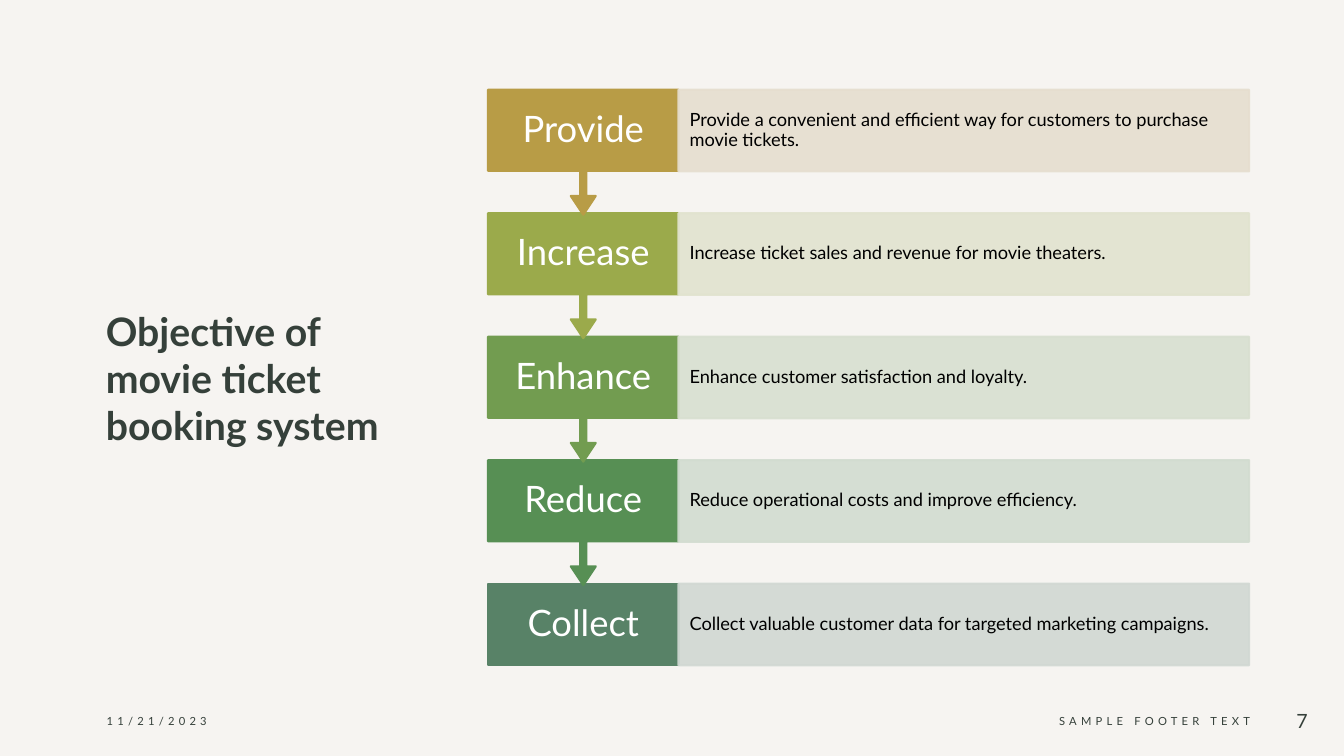
from pptx import Presentation
from pptx.dml.color import RGBColor
from pptx.enum.shapes import MSO_SHAPE as SHAPE
from pptx.enum.text import MSO_ANCHOR as ANCHOR, MSO_AUTO_SIZE as AUTO, PP_ALIGN as ALIGN
from pptx.oxml.ns import qn
from pptx.util import Inches, Pt
from lxml import etree

# word, description, box colour, bar colour
OBJECTIVES = [
    ("Provide", "Provide a convenient and efficient way for customers to purchase movie tickets.",
     "B89C46", "E6DECF"),
    ("Increase", "Increase ticket sales and revenue for movie theaters.", "9BAA4B", "E1E3CF"),
    ("Enhance", "Enhance customer satisfaction and loyalty.", "729C50", "D8DFD0"),
    ("Reduce", "Reduce operational costs and improve efficiency.", "578F54", "D2DCD0"),
    ("Collect", "Collect valuable customer data for targeted marketing campaigns.",
     "588267", "D1D8D3"),
]
LEFT, TOP = 4.84, 0.89
BOX_W, BAR_W, ROW_H = 1.89, 5.66, 0.81
PITCH, CALLOUT_H = 1.225, 1.24


def rgb(value):
    return RGBColor.from_string(value)


def set_alpha(fill_parent, percent):
    """Make the solid fill found below an element partly transparent."""
    color = fill_parent.find(qn("a:solidFill"))[0]
    etree.SubElement(color, qn("a:alpha")).set("val", str(percent * 1000))


def write(sp, text, size=13, color="000000", bold=False, align=ALIGN.LEFT,
          inset=(0.1, 0.05), line=1.0, after=0, tracking=0):
    """Fill a shape with one formatted, vertically centred paragraph."""
    tf = sp.text_frame
    tf.word_wrap = True
    tf.auto_size = AUTO.NONE
    tf.vertical_anchor = ANCHOR.MIDDLE
    tf.margin_left = tf.margin_right = Inches(inset[0])
    tf.margin_top = tf.margin_bottom = Inches(inset[1])
    p = tf.paragraphs[0]
    p.alignment = align
    p.line_spacing = line
    p.space_before, p.space_after = Pt(0), Pt(after)
    r = p.add_run()
    r.text = text
    r.font.name = Deck.FONT
    r.font.size = Pt(size)
    r.font.bold = bold
    r.font.color.rgb = rgb(color)
    if tracking:
        r.font._element.set("spc", str(tracking * 100))


class Deck:
    FONT = "Lato"
    INK = "35403A"
    PAPER = "F6F4F1"

    def __init__(self):
        self.prs = Presentation()
        self.prs.slide_width, self.prs.slide_height = Inches(13.33), Inches(7.5)
        self.s = self.prs.slides.add_slide(self.prs.slide_layouts[5])
        fill = self.s.background.fill
        fill.solid()
        fill.fore_color.rgb = rgb(self.PAPER)

    def title(self, text, x, y, w, h):
        sp = self.s.shapes.title
        sp.left, sp.top, sp.width, sp.height = map(Inches, (x, y, w, h))
        write(sp, text, size=28, color=self.INK, bold=True, after=6)

    def footer(self, text, x, w, **fmt):
        sp = self.s.shapes.add_textbox(*map(Inches, (x, 6.95, w, 0.4)))
        write(sp, text, color=self.INK, after=6, **fmt)

    def block(self, kind, x, y, w, h, color, alpha=100):
        sp = self.s.shapes.add_shape(kind, *map(Inches, (x, y, w, h)))
        sp.shadow.inherit = False
        for fill in (sp.fill, sp.line.fill):
            fill.solid()
            fill.fore_color.rgb = rgb(color)
        sp.line.width = Pt(1.5)
        if alpha < 100:
            sp_pr = sp._element.spPr
            set_alpha(sp_pr, alpha)
            set_alpha(sp_pr.find(qn("a:ln")), alpha)
        return sp

    def objective(self, word, text, y, box_color, bar_color, last):
        """Draw a word box, pointing down unless it is the last, and its bar."""
        kind = SHAPE.RECTANGLE if last else SHAPE.DOWN_ARROW_CALLOUT
        box = self.block(kind, LEFT, y, BOX_W, ROW_H if last else CALLOUT_H, box_color)
        if not last:
            for i, value in enumerate((0.05, 0.1, 0.15, 0.65)):
                box.adjustments[i] = value
        write(box, word, size=26, color="FFFFFF", align=ALIGN.CENTER,
              inset=(0.13, 0.2), line=0.9)
        bar = self.block(SHAPE.RECTANGLE, LEFT + BOX_W, y, BAR_W, ROW_H, bar_color, alpha=90)
        write(bar, text, inset=(0.11, 0.18), line=0.9)


def main():
    deck = Deck()
    deck.title("Objective of movie ticket booking system", 0.95, 1.48, 3.08, 4.54)
    deck.footer("11/21/2023", 0.96, 3, size=8, tracking=3)
    deck.footer("SAMPLE FOOTER TEXT", 7.8, 4.7, size=8, tracking=3, align=ALIGN.RIGHT)
    deck.footer("7", 12.5, 0.57, size=14, align=ALIGN.RIGHT)

    # Bottom row first, so that each arrow tip lies over the box below it.
    last = len(OBJECTIVES) - 1
    for i in range(last, -1, -1):
        word, text, box_color, bar_color = OBJECTIVES[i]
        deck.objective(word, text, TOP + i * PITCH, box_color, bar_color, i == last)
    deck.prs.save("out.pptx")


if __name__ == "__main__":
    main()
